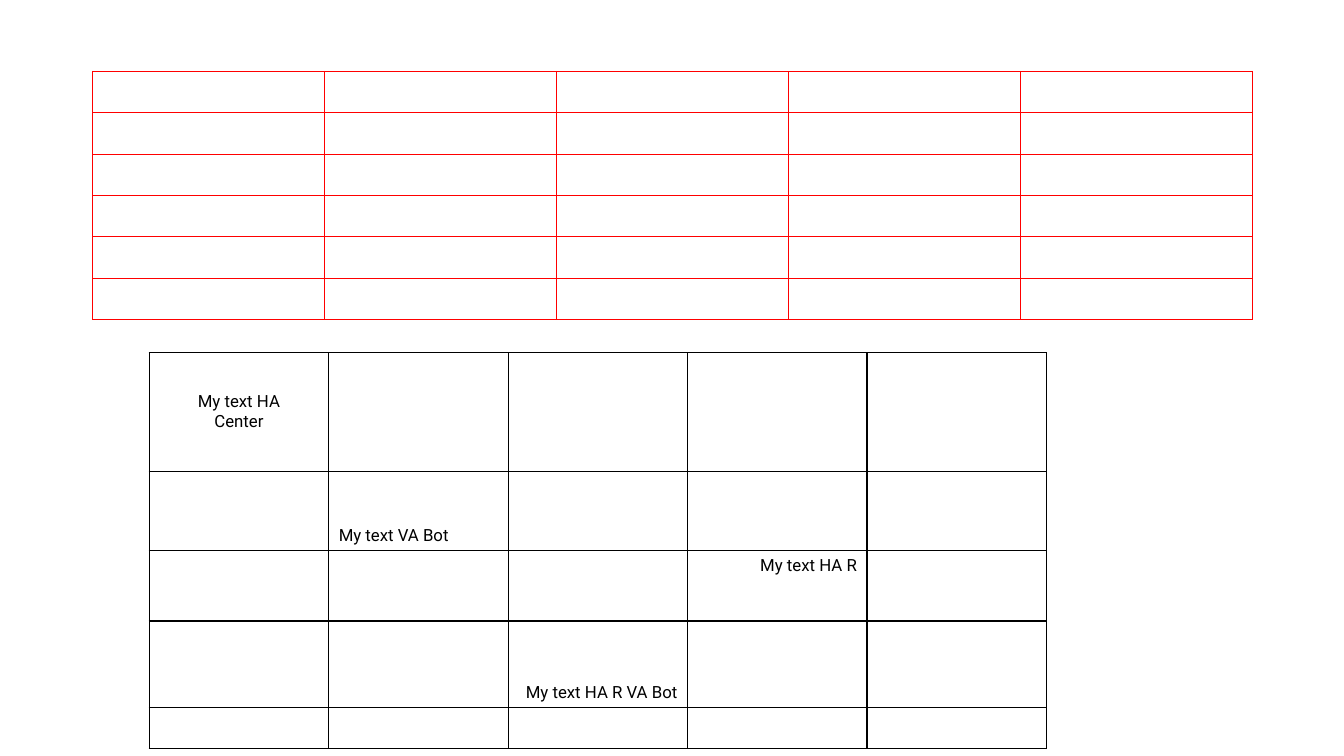
from pptx import Presentation
from pptx.dml.color import RGBColor
from pptx.enum.text import MSO_ANCHOR, PP_ALIGN
from pptx.oxml import parse_xml
from pptx.oxml.ns import nsdecls
from pptx.util import Inches, Pt

COLORS = {"red": "FF0000", "black": "000000"}
FONT = {"name": "Roboto", "size": Pt(12)}


class SlideBuilder:
    """Holds the text style and the current slide."""

    def __init__(self, slide, font):
        self.slide = slide
        self.font = font

    def table(self, left, top, col_width, cols, heights, color):
        frame = self.slide.shapes.add_table(
            len(heights), cols, Inches(left), Inches(top),
            Inches(col_width * cols), Inches(sum(heights)))
        tbl = frame.table
        tbl.first_row = tbl.horz_banding = False
        for col in tbl.columns:
            col.width = Inches(col_width)
        for row, height in zip(tbl.rows, heights):
            row.height = Inches(height)
        for cell in tbl.iter_cells():
            self.borders(cell, COLORS[color])
            cell.fill.background()
        return tbl

    def borders(self, cell, color, width=1):
        tcPr = cell._tc.get_or_add_tcPr()
        for side in ("lnL", "lnR", "lnT", "lnB"):
            tcPr.append(parse_xml(
                f'<a:{side} {nsdecls("a")} w="{Pt(width)}"><a:solidFill>'
                f'<a:srgbClr val="{color}"/></a:solidFill></a:{side}>'))

    def text(self, cell, text, align=PP_ALIGN.LEFT, formats=None):
        for name, value in (formats or {}).items():
            setattr(cell, name, value)
        p = cell.text_frame.paragraphs[0]
        p.alignment = align
        r = p.add_run()
        r.text = text
        for name, value in self.font.items():
            setattr(r.font, name, value)
        r.font.color.rgb = RGBColor.from_string(COLORS["black"])


def main():
    prs = Presentation()
    prs.slide_width, prs.slide_height = Inches(13.33), Inches(7.5)
    s = SlideBuilder(prs.slides.add_slide(prs.slide_layouts[6]), FONT)

    # Empty red grid
    s.table(0.92, 0.71, 2.3, 5, [0.41] * 6, "red")

    # Black grid with alignment samples
    tbl = s.table(1.48, 3.5, 1.78, 5, [1.18, 0.78, 0.7, 0.86, 0.41], "black")
    margins = {f"margin_{side}": Inches(0.39)
               for side in ("left", "right", "top", "bottom")}
    bottom = {"vertical_anchor": MSO_ANCHOR.BOTTOM}
    samples = [
        (0, 0, "My text HA Center", PP_ALIGN.CENTER, margins),
        (1, 1, "My text VA Bot", PP_ALIGN.LEFT, bottom),
        (2, 3, "My text HA R", PP_ALIGN.RIGHT, None),
        (3, 2, "My text HA R VA Bot", PP_ALIGN.RIGHT, bottom),
    ]
    for row, col, text, align, formats in samples:
        s.text(tbl.cell(row, col), text, align, formats)

    prs.save("out.pptx")


if __name__ == "__main__":
    main()
